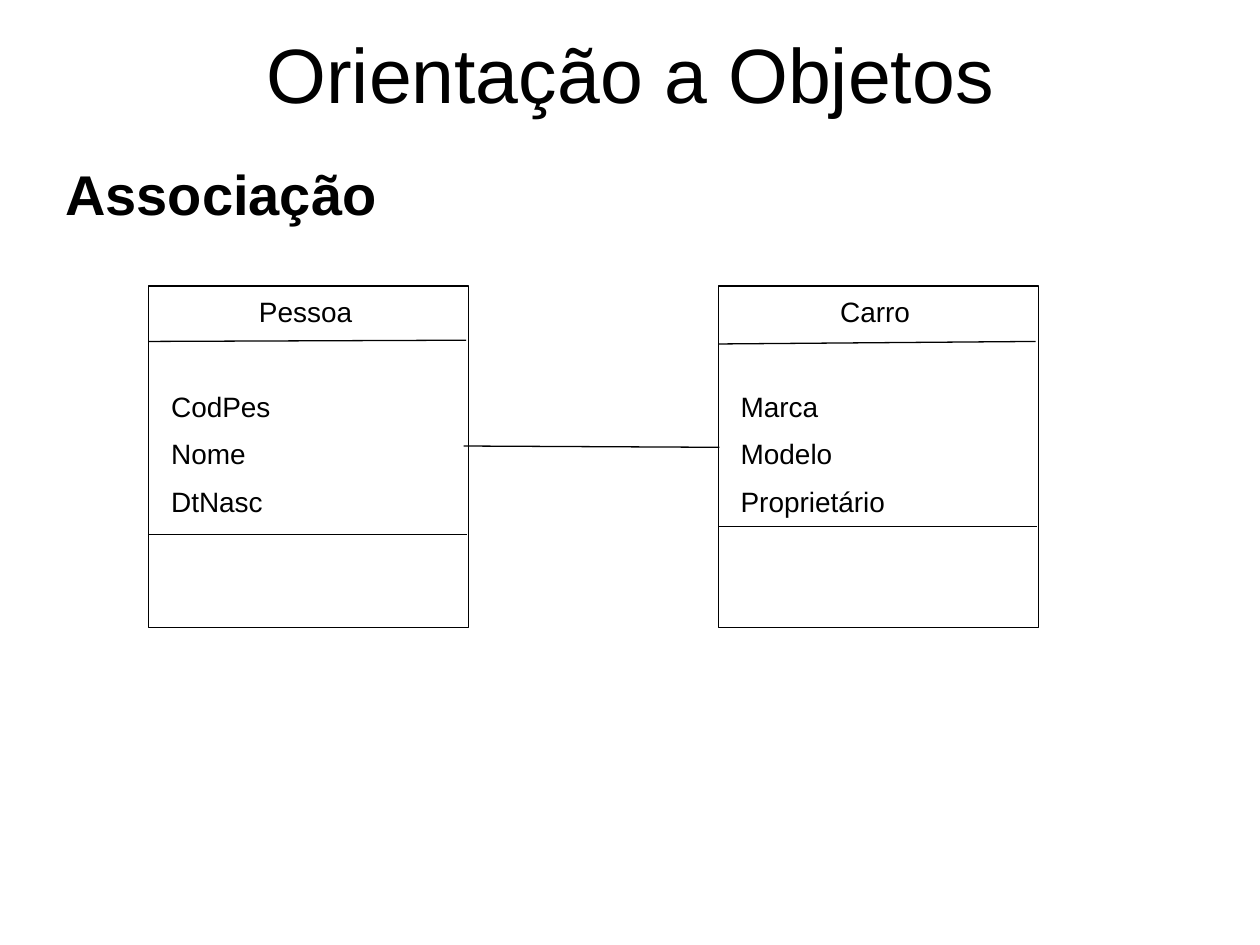
from lxml.etree import SubElement
from pptx import Presentation
from pptx.dml.color import RGBColor
from pptx.enum.shapes import MSO_CONNECTOR, MSO_SHAPE
from pptx.enum.text import MSO_ANCHOR, PP_ALIGN
from pptx.oxml.ns import qn
from pptx.util import Inches, Pt

BLACK = RGBColor(0, 0, 0)
FONT = "Arial"
TITLE = "Orientação a Objetos"
TOPIC = "Associação"
# name, attributes, left edge, rule under name (start, end), rule under attributes
CLASSES = [
    ("Pessoa", ["CodPes", "Nome", "DtNasc"], 1.18, (2.71, 2.70), 4.24),
    ("Carro", ["Marca", "Modelo", "Proprietário"], 5.70, (2.73, 2.71), 4.18),
]
LINK = (5.71, 3.55, 3.68, 3.54)
TOP, WIDTH, HEIGHT = 2.27, 2.54, 2.71


def write(shape, lines, size, align=PP_ALIGN.LEFT, bold=False, spacing=1.0, top=0.05):
    frame = shape.text_frame
    frame.word_wrap = True
    frame.margin_top = Inches(top)
    frame.text = "\n".join(lines)
    for i, para in enumerate(frame.paragraphs):
        para.alignment = align
        para.line_spacing = spacing
        para.space_before = Pt(10 if i else 0)
        for run in para.runs:
            font = run.font
            font.name, font.size, font.bold = FONT, Pt(size), bold
            font.color.rgb = BLACK


def add_text(slide, box, lines, size, **style):
    shape = slide.shapes.add_textbox(*map(Inches, box))
    write(shape, lines, size, **style)


def add_line(slide, *ends):
    line = slide.shapes.add_connector(MSO_CONNECTOR.STRAIGHT, *map(Inches, ends))
    line.line.color.rgb = BLACK
    line.line.width = Pt(0.75)
    SubElement(line._element.spPr, qn("a:effectLst"))


def add_class(slide, name, fields, left, rule, base):
    box = slide.shapes.add_shape(
        MSO_SHAPE.RECTANGLE, *map(Inches, (left, TOP, WIDTH, HEIGHT)))
    box.shadow.inherit = False
    box.fill.background()
    box.line.color.rgb = BLACK
    box.line.width = Pt(0.75)
    add_line(slide, left, rule[0], left + 2.52, rule[1])
    add_text(slide, (left + 0.3, 2.29, 1.89, 0.37), [name], 16,
             align=PP_ALIGN.CENTER)
    add_text(slide, (left + 0.08, 2.76, 1.89, 1.41), fields, 16,
             spacing=0.9, top=0.36)
    add_line(slide, left, base, left + 2.53, base)


def main():
    deck = Presentation()
    deck.slide_width, deck.slide_height = Inches(10), Inches(7.5)
    slide = deck.slides.add_slide(deck.slide_layouts[5])

    title = slide.shapes.title
    title.left, title.top, title.width, title.height = map(
        Inches, (0.59, 0.24, 8.83, 0.68))
    write(title, [TITLE], 44, align=PP_ALIGN.CENTER)
    title.text_frame.vertical_anchor = MSO_ANCHOR.MIDDLE

    add_text(slide, (0.42, 1.27, 9.14, 0.56), [TOPIC], 32,
             bold=True, spacing=0.8, top=0.1)
    for item in CLASSES:
        add_class(slide, *item)
    add_line(slide, *LINK)
    deck.save("out.pptx")


if __name__ == "__main__":
    main()
